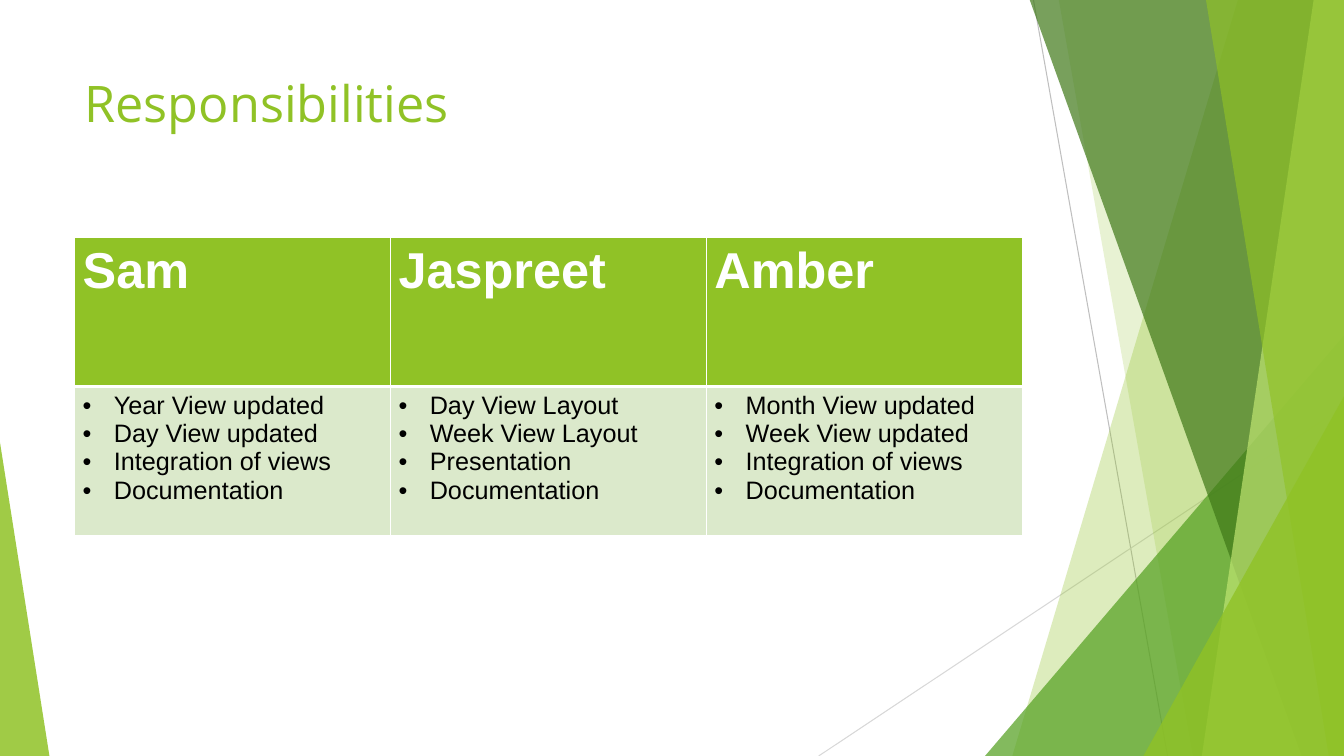
import dataclasses
import typing

import lxml.etree
import pptx
import pptx.dml.color
import pptx.enum.shapes
import pptx.enum.text
import pptx.oxml.ns
import pptx.util

Inches = pptx.util.Inches
Pt = pptx.util.Pt
qn = pptx.oxml.ns.qn

WIDE, HIGH, TOP = 13.33, 7.5, -0.01
LIME, WHITE, BLACK, PALE = "90C226", "FFFFFF", "000000", "DBE9CB"


@dataclasses.dataclass
class Ray:
    """A hairline across the slide."""
    start: tuple[float, float]
    end: tuple[float, float]
    hue: str


@dataclasses.dataclass
class Band:
    """A sheet from a slanted left edge to the right side of the slide."""
    upper: float
    lower: float
    hue: str
    alpha: int


@dataclasses.dataclass
class Wedge:
    """A right-angled triangle standing on the bottom edge."""
    left: float
    top: float
    width: float
    peak: float
    hue: str
    alpha: int


RAYS = [
    Ray((10.25, 0), (11.58, HIGH), "BFBFBF"),
    Ray((WIDE, 4.03), (8.12, HIGH), "D8D8D8"),
]
FACETS = [
    Band(12.28, 10.04, LIME, 30),
    Band(10.5, 11.83, LIME, 20),
    Wedge(9.77, 3.33, 3.56, 1, "54A021", 72),
    Band(10.21, 12.91, "3F7818", 70),
    Band(13.03, 11.92, "BFE471", 70),
    Band(11.96, 13.18, LIME, 65),
    Wedge(11.34, 3.93, 1.99, 1, LIME, 80),
    Wedge(0, 4.39, 0.49, 0, LIME, 85),
]
TASKS = {
    "Sam": ["Year View updated", "Day View updated",
            "Integration of views", "Documentation"],
    "Jaspreet": ["Day View Layout", "Week View Layout",
                 "Presentation", "Documentation"],
    "Amber": ["Month View updated", "Week View updated",
              "Integration of views", "Documentation"],
}


def color(code: str) -> pptx.dml.color.RGBColor:
    """Turn a hex string into a colour."""
    return pptx.dml.color.RGBColor.from_string(code)


def add_tag(parent: typing.Any, name: str, **attrs: str) -> typing.Any:
    """Append an XML element with the given attributes."""
    return lxml.etree.SubElement(parent, qn(name), attrs)


def put_text(frame: typing.Any, lines: list[str], *, size: float, hue: str,
             font: str = "Arial", bold: bool = False,
             bullet: bool = False) -> None:
    """Fill a text frame with one paragraph per line."""
    for i, line in enumerate(lines):
        para = frame.add_paragraph() if i else frame.paragraphs[0]
        run = para.add_run()
        run.text = line
        run.font.size = Pt(size)
        run.font.name = font
        run.font.bold = bold
        run.font.color.rgb = color(hue)
        if bullet:
            props = para._p.get_or_add_pPr()
            props.set("marL", str(Inches(0.31)))
            props.set("indent", str(Inches(-0.31)))
            add_tag(add_tag(props, "a:buClr"), "a:srgbClr", val=hue)
            add_tag(props, "a:buFont", typeface="Arial")
            add_tag(props, "a:buChar", char="•")


def draw_ray(shapes: typing.Any, ray: Ray) -> None:
    """Draw a hairline without a shadow."""
    ends = [Inches(n) for n in (*ray.start, *ray.end)]
    kind = pptx.enum.shapes.MSO_CONNECTOR.STRAIGHT
    line = shapes.add_connector(kind, *ends)
    line.line.color.rgb = color(ray.hue)
    line.line.width = Pt(0.75)
    add_tag(line._element.spPr, "a:effectLst")


def draw_facet(shapes: typing.Any, facet: Band | Wedge) -> None:
    """Draw a see-through band or wedge."""
    if isinstance(facet, Band):
        spots = [(WIDE, TOP), (WIDE, HIGH), (facet.lower, HIGH)]
        pen = shapes.build_freeform(Inches(facet.upper), Inches(TOP))
        pen.add_line_segments([(Inches(x), Inches(y)) for x, y in spots])
        shape = pen.convert_to_shape()
    else:
        shape = shapes.add_shape(
            pptx.enum.shapes.MSO_SHAPE.ISOSCELES_TRIANGLE,
            Inches(facet.left), Inches(facet.top),
            Inches(facet.width), Inches(HIGH - facet.top))
        shape.adjustments[0] = facet.peak
    shape.shadow.inherit = False
    shape.line.fill.background()
    shape.fill.solid()
    shape.fill.fore_color.rgb = color(facet.hue)
    tint = shape._element.spPr.find(qn("a:solidFill")).find(qn("a:srgbClr"))
    add_tag(tint, "a:alpha", val=str(facet.alpha * 1000))


def style_cell(cell: typing.Any, hue: str, **sides: float) -> None:
    """Set a cell's margins, fill and white borders."""
    cell.margin_left = cell.margin_right = Inches(0.08)
    cell.margin_top = cell.margin_bottom = Inches(0.05)
    props = cell._tc.get_or_add_tcPr()
    for side in "LRTB":
        edge = add_tag(props, f"a:ln{side}", w=str(Pt(sides.get(side, 1))))
        add_tag(add_tag(edge, "a:solidFill"), "a:srgbClr", val=WHITE)
    cell.fill.solid()
    cell.fill.fore_color.rgb = color(hue)


def draw_tasks(shapes: typing.Any) -> None:
    """Draw the table with one column per person."""
    table = shapes.add_table(2, len(TASKS), Inches(0.74), Inches(2.36),
                             Inches(9.4), Inches(2.95)).table
    for i, (name, jobs) in enumerate(TASKS.items()):
        head, body = table.cell(0, i), table.cell(1, i)
        style_cell(head, LIME, B=3)
        style_cell(body, PALE, T=3)
        put_text(head.text_frame, [name], size=36, hue=WHITE, bold=True)
        put_text(body.text_frame, jobs, size=18, hue=BLACK, bullet=True)


def draw_title(shapes: typing.Any) -> None:
    """Write the slide title."""
    box = shapes.add_textbox(Inches(0.74), Inches(0.67),
                             Inches(9.4), Inches(1.44))
    box.text_frame.word_wrap = True
    box.text_frame.vertical_anchor = pptx.enum.text.MSO_ANCHOR.TOP
    put_text(box.text_frame, ["Responsibilities"], size=36, hue=LIME,
             font="Open Sans")


def main() -> None:
    """Build and save the slide."""
    deck = pptx.Presentation()
    deck.slide_width, deck.slide_height = Inches(WIDE), Inches(HIGH)
    shapes = deck.slides.add_slide(deck.slide_layouts[6]).shapes
    for ray in RAYS:
        draw_ray(shapes, ray)
    for facet in FACETS:
        draw_facet(shapes, facet)
    draw_title(shapes)
    draw_tasks(shapes)
    deck.save("out.pptx")


main()
